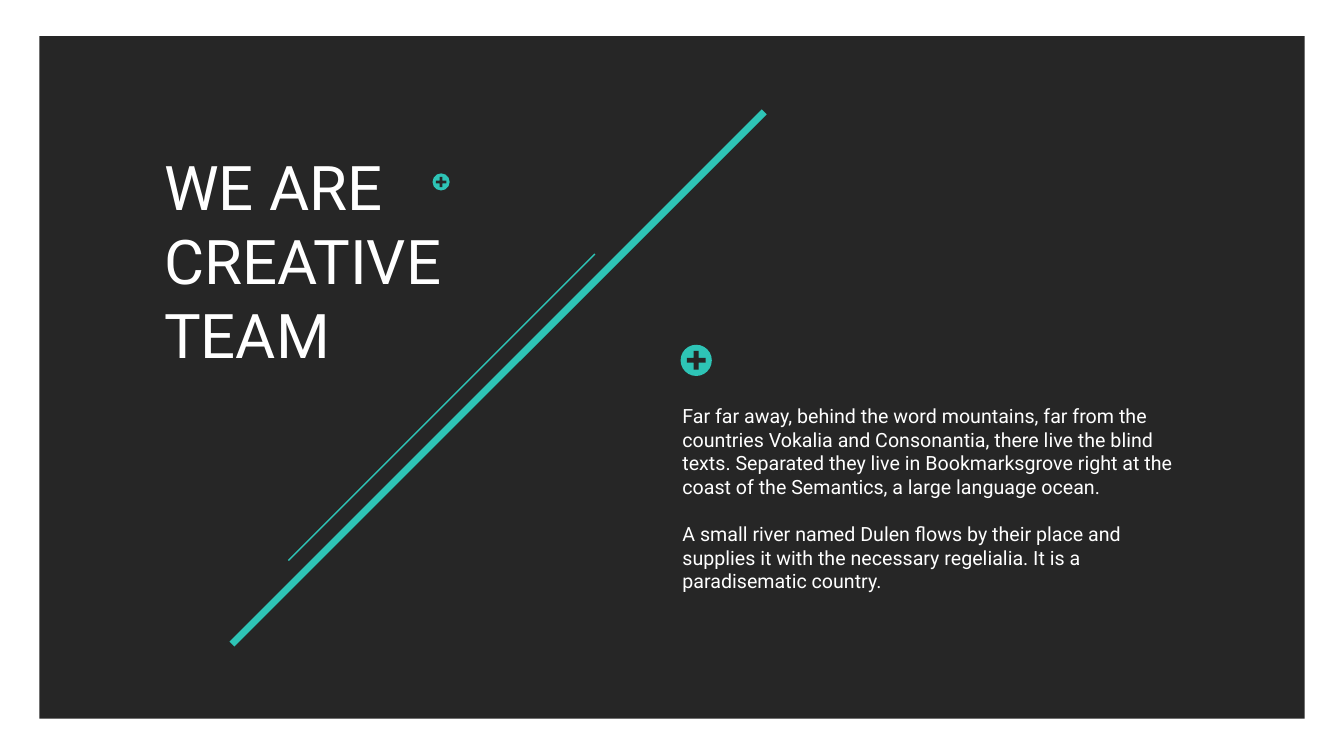
"""Build a dark team slide with a title, diagonal lines and body text."""
from lxml.etree import SubElement
from pptx import Presentation
from pptx.dml.color import RGBColor
from pptx.enum.shapes import MSO_CONNECTOR, MSO_SHAPE
from pptx.enum.text import MSO_AUTO_SIZE
from pptx.oxml.ns import qn
from pptx.util import Inches, Pt

COLORS = {name: RGBColor.from_string(code) for name, code in
          {"dark": "262626", "teal": "2EC4B6", "white": "FFFFFF"}.items()}


def add_solid(parent, kind, left, top, width, height, color):
    shape = parent.add_shape(kind, Inches(left), Inches(top),
                             Inches(width), Inches(height))
    shape.shadow.inherit = False
    shape.fill.solid()
    shape.fill.fore_color.rgb = COLORS[color]
    shape.line.fill.background()
    return shape


def add_text(left, top, width, height, lines, size, gap, wrap):
    box = slide.shapes.add_textbox(Inches(left), Inches(top),
                                   Inches(width), Inches(height))
    frame = box.text_frame
    frame.word_wrap = wrap
    frame.auto_size = MSO_AUTO_SIZE.SHAPE_TO_FIT_TEXT
    frame.text = "\n".join(lines)
    for index, para in enumerate(frame.paragraphs):
        para.font.name = "Roboto"
        para.font.size = Pt(size)
        para.font.color.rgb = COLORS["white"]
        if index and gap:
            para.space_before = Pt(gap)


deck = Presentation()
deck.slide_width, deck.slide_height = Inches(13.33), Inches(7.5)
slide = deck.slides.add_slide(deck.slide_layouts[6])

add_solid(slide.shapes, MSO_SHAPE.RECTANGLE, 0.39, 0.36, 12.55, 6.77, "dark")

title = ["WE ARE", "CREATIVE", "TEAM"]
add_text(1.53, 1.43, 3.24, 2.32, title, 44, 0, False)

for right, top, span, weight in [(7.58, 1.11, 5.28, 5), (5.9, 2.52, 3.04, 1)]:
    line = slide.shapes.add_connector(
        MSO_CONNECTOR.STRAIGHT, Inches(right), Inches(top),
        Inches(right - span), Inches(top + span))
    line.line.color.rgb = COLORS["teal"]
    line.line.width = Pt(weight)
    SubElement(line._element.spPr, qn("a:effectLst"))

body = [
    "Far far away, behind the word mountains, far from the countries Vokalia "
    "and Consonantia, there live the blind texts. Separated they live in "
    "Bookmarksgrove right at the coast of the Semantics, a large language ocean.",
    "A small river named Dulen flows by their place and supplies it with the "
    "necessary regelialia. It is a paradisematic country.",
]
add_text(6.67, 3.96, 5.23, 1.99, body, 14, 17, True)

for left, top, size in [(6.75, 3.42, 0.31), (4.29, 1.72, 0.17)]:
    badge = slide.shapes.add_group_shape().shapes
    add_solid(badge, MSO_SHAPE.OVAL, left, top, size, size, "teal")
    inset = size * 0.2
    arm = size - 2 * inset
    plus = add_solid(badge, MSO_SHAPE.CROSS, left + inset, top + inset,
                     arm, arm, "dark")
    plus.adjustments[0] = 0.37

deck.save("out.pptx")
